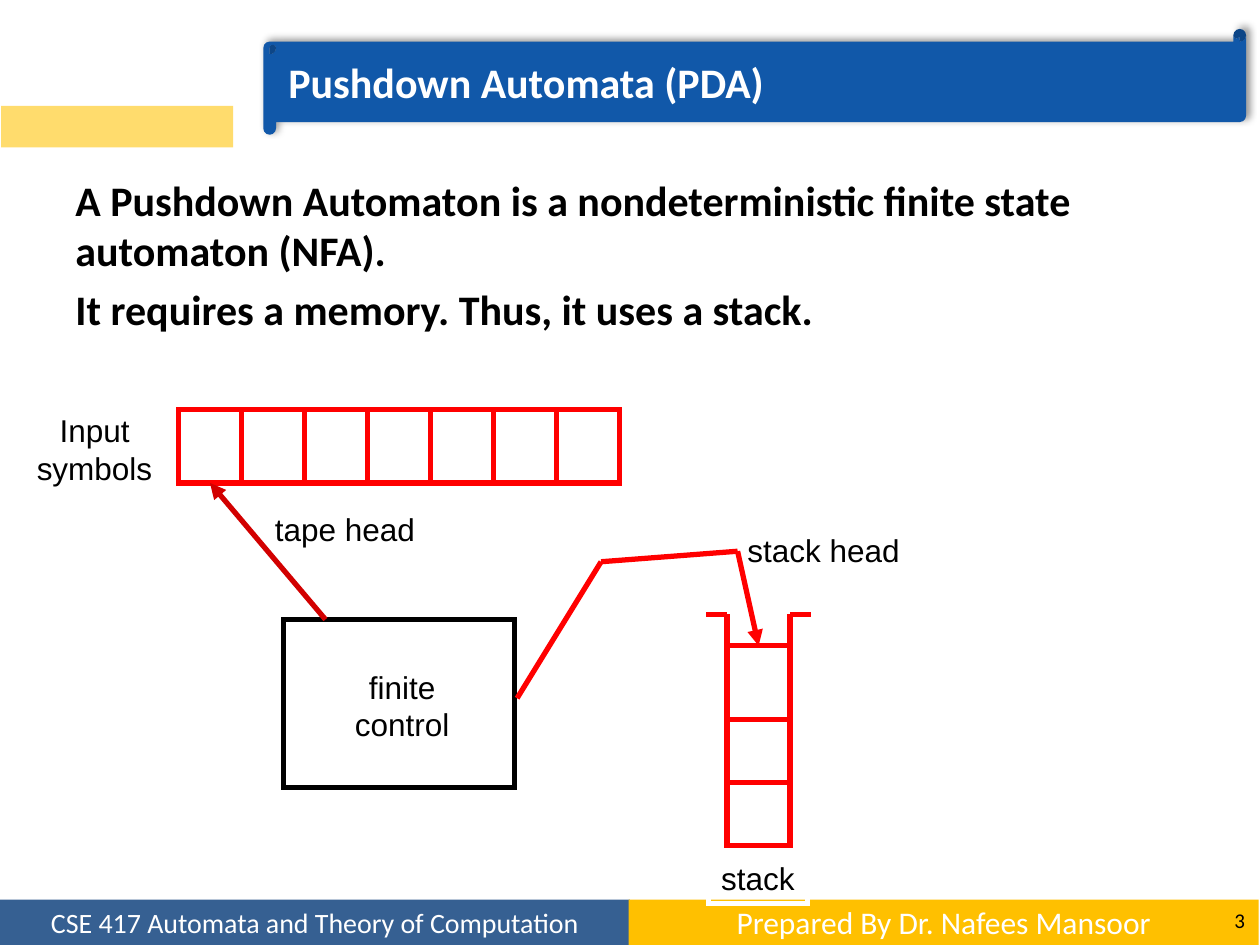
from dataclasses import dataclass
from typing import Any, Optional

from lxml import etree
from pptx import Presentation
from pptx import util as u
from pptx.dml.color import RGBColor
from pptx.enum import shapes as kinds, text as texts
from pptx.oxml import ns

WIDE, HIGH = 10, 7.5
COLS, ROWS = 120, 90
WHITE = RGBColor(0xFF, 0xFF, 0xFF)
BLACK = RGBColor(0, 0, 0)
RED = RGBColor(0xFF, 0, 0)
CRIMSON = RGBColor(0xD2, 0, 0)
NAVY = RGBColor(0x36, 0x60, 0x92)
BLUE = RGBColor(0x11, 0x58, 0xA9)
AMBER = RGBColor(0xFF, 0xC0, 0)
CREAM = RGBColor(0xFF, 0xDC, 0x6D)
LEFT = texts.PP_ALIGN.LEFT
CENTER = texts.PP_ALIGN.CENTER
RIGHT = texts.PP_ALIGN.RIGHT
MIDDLE = texts.MSO_ANCHOR.MIDDLE
TOP = texts.MSO_ANCHOR.TOP
RECT = kinds.MSO_SHAPE.RECTANGLE
SCROLL = kinds.MSO_SHAPE.HORIZONTAL_SCROLL


@dataclass(frozen=True)
class Area:
    col: float
    row: float
    cols: float
    rows: float


@dataclass(frozen=True)
class Style:
    size: float = 18
    font: str = "Arial"
    color: RGBColor = BLACK
    bold: bool = False
    align: Any = LEFT
    anchor: Any = TOP
    wrap: bool = False
    gap: float = 0


@dataclass(frozen=True)
class Label:
    words: tuple[str, ...]
    area: Area
    style: Style = Style()


@dataclass(frozen=True)
class Line:
    start: tuple[float, float]
    end: tuple[float, float]
    color: RGBColor = RED
    arrow: bool = False


def across(col: float) -> int:
    return u.Inches(WIDE * col / COLS)


def down(row: float) -> int:
    return u.Inches(HIGH * row / ROWS)


def frame(area: Area) -> tuple[int, int, int, int]:
    return across(area.col), down(area.row), across(area.cols), down(area.rows)


def write(shape: Any, words: tuple[str, ...], style: Style) -> None:
    body = shape.text_frame
    body.word_wrap = style.wrap
    body.vertical_anchor = style.anchor
    for spot, phrase in enumerate(words):
        para = body.add_paragraph() if spot else body.paragraphs[0]
        para.text = phrase
        para.alignment = style.align
        if spot and style.gap:
            para.space_before = u.Pt(style.gap)
        para.font.size = u.Pt(style.size)
        para.font.name = style.font
        para.font.bold = style.bold
        para.font.color.rgb = style.color


def ink(shape: Any, color: RGBColor) -> Any:
    shape.line.color.rgb = color
    shape.line.width = u.Pt(3)
    return shape._element.spPr.find(ns.qn("a:ln"))


def block(home: Any, area: Area, fill: Optional[RGBColor] = None,
          edge: Optional[RGBColor] = None, kind: Any = RECT) -> Any:
    shape = home.add_shape(kind, *frame(area))
    shape.shadow.inherit = False
    if fill is None:
        shape.fill.background()
    else:
        shape.fill.solid()
        shape.fill.fore_color.rgb = fill
    if edge is None:
        shape.line.fill.background()
    else:
        etree.SubElement(ink(shape, edge), ns.qn("a:miter"), lim="800000")
    return shape


def label(home: Any, item: Label) -> None:
    write(home.add_textbox(*frame(item.area)), item.words, item.style)


def stroke(home: Any, item: Line) -> None:
    (col, row), (stop, base) = item.start, item.end
    line = home.add_connector(kinds.MSO_CONNECTOR.STRAIGHT,
                              across(col), down(row), across(stop), down(base))
    pen = ink(line, item.color)
    if item.arrow:
        etree.SubElement(pen, ns.qn("a:tailEnd"), type="triangle")
    etree.SubElement(line._element.spPr, ns.qn("a:effectLst"))


def shade(shape: Any) -> None:
    effects = shape._element.spPr.find(ns.qn("a:effectLst"))
    outer = etree.SubElement(effects, ns.qn("a:outerShdw"), blurRad=str(u.Pt(4)),
                             dist=str(u.Pt(3)), dir=str(315 * 60000), rotWithShape="0")
    color = etree.SubElement(outer, ns.qn("a:srgbClr"), val=str(BLACK))
    etree.SubElement(color, ns.qn("a:alpha"), val="40000")


def chrome(home: Any) -> None:
    foot = dict(font="Calibri", color=WHITE, align=CENTER, anchor=MIDDLE, wrap=True)
    course = block(home, Area(0, 85.68, 60, 4.32), NAVY)
    write(course, ("CSE 417 Automata and Theory of Computation",), Style(16, **foot))
    author = block(home, Area(59.88, 85.68, 60, 4.32), AMBER)
    write(author, ("Prepared By Dr. Nafees Mansoor",), Style(18, **foot))
    label(home, Label(("3",), Area(111.96, 85.2, 7.8, 4.8),
                      Style(12, "Calibri", align=RIGHT, anchor=MIDDLE, wrap=True)))
    block(home, Area(0.12, 10.08, 22.08, 3.96), CREAM)


def heading(home: Any) -> None:
    label(home, Label(("A Pushdown Automaton is a nondeterministic finite state automaton (NFA).",
                       "It requires a memory. Thus, it uses a stack."),
                      Area(6, 16, 110, 23),
                      Style(24, "Calibri", bold=True, wrap=True, gap=4.8)))
    banner = block(home, Area(25.08, 2.76, 93.6, 10.08), BLUE, kind=SCROLL)
    banner.adjustments[0] = 0.12
    shade(banner)
    write(banner, ("Pushdown Automata (PDA)",),
          Style(24, "Calibri", WHITE, True, anchor=MIDDLE, wrap=True))


def tape(home: Any) -> None:
    left, top, cell, tall, count = 17, 39, 6, 7, 7
    block(home, Area(left, top, cell * count, tall), edge=RED)
    for spot in range(1, count):
        col = left + spot * cell
        stroke(home, Line((col, top), (col, top + tall)))


def stack(home: Any) -> None:
    left, top, cell, tall, rim, lip = 69.25, 61.5, 6, 19, 58.5, 2
    block(home, Area(left, top, cell, tall), edge=RED)
    for spot in (1, 2):
        row = top + tall - spot * cell
        stroke(home, Line((left, row), (left + cell, row)))
    for col, side in ((left, -lip), (left + cell, lip)):
        stroke(home, Line((col, top), (col, rim)))
        stroke(home, Line((col, rim), (col + side, rim)))


def arm(home: Any) -> None:
    joints = ((49.25, 66.5), (57.25, 53.5), (70.25, 52.5), (72.25, 61.5))
    for start, end in zip(joints, joints[1:]):
        stroke(home, Line(start, end, arrow=end == joints[-1]))


def main() -> None:
    deck = Presentation()
    deck.slide_width, deck.slide_height = u.Inches(WIDE), u.Inches(HIGH)
    home = deck.slides.add_slide(deck.slide_layouts[6]).shapes
    chrome(home)
    heading(home)
    tape(home.add_group_shape().shapes)
    block(home, Area(27, 59, 22, 16), edge=BLACK)
    stroke(home, Line((31, 59), (20, 46), CRIMSON, True))
    stack(home.add_group_shape().shapes)
    arm(home.add_group_shape().shapes)
    write(block(home, Area(67.5, 81.25, 9.4, 4.8), edge=WHITE), ("stack",), Style())
    for item in (
        Label(("stack head",), Area(70, 50, 18, 4.8), Style(wrap=True)),
        Label(("finite", "control"), Area(32.6, 63, 11.4, 8.4), Style(align=CENTER)),
        Label(("tape head",), Area(25, 48, 17, 4.8), Style(wrap=True)),
        Label(("Input symbols",), Area(1, 38.6, 16, 8.5), Style(align=CENTER, wrap=True)),
    ):
        label(home, item)
    deck.save("out.pptx")


if __name__ == "__main__":
    main()
